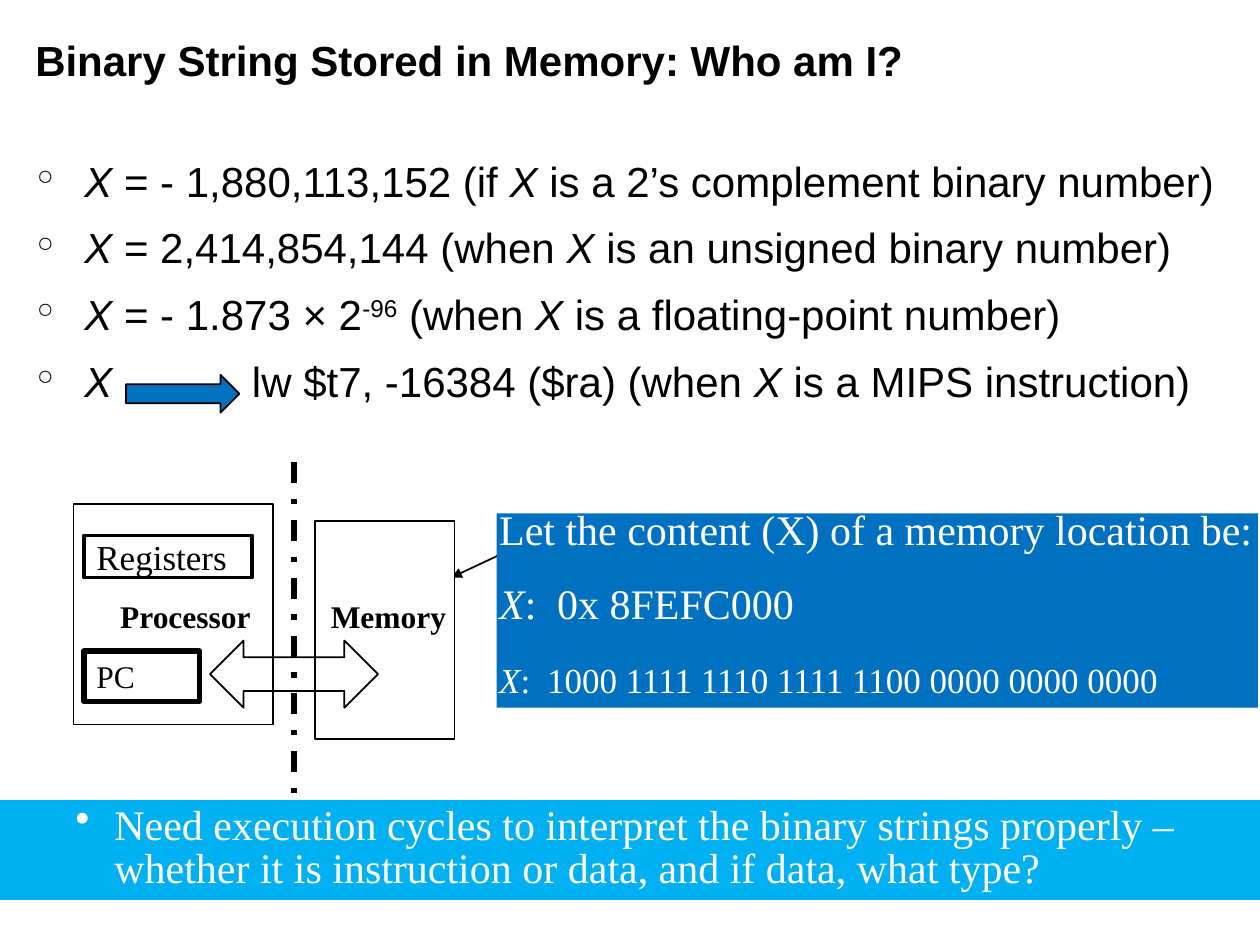
from dataclasses import dataclass

from lxml import etree
from pptx import Presentation
from pptx.dml.color import RGBColor
from pptx.enum.dml import MSO_LINE_DASH_STYLE as DASH
from pptx.enum.shapes import MSO_CONNECTOR, MSO_SHAPE as SHAPE
from pptx.enum.text import MSO_ANCHOR as ANCHOR, PP_ALIGN as ALIGN
from pptx.oxml.ns import qn
from pptx.util import Inches, Pt


@dataclass(frozen=True)
class Theme:
    """Colours, fonts and type sizes of the slide."""
    ink: str = "000000"
    paper: str = "FFFFFF"
    blue: str = "0070C0"
    sky: str = "00B0F0"
    sans: str = "Arial"
    serif: str = "Times New Roman"
    large: int = 24
    medium: int = 20
    small: int = 18


class Deck:
    """Draws elements on a grid of 120 columns by 90 rows."""

    def __init__(self, theme):
        """Open a title-only slide."""
        self.theme = theme
        self.prs = Presentation()
        self.prs.slide_width, self.prs.slide_height = Inches(10), Inches(7.5)
        self.s = self.prs.slides.add_slide(self.prs.slide_layouts[5])

    def at(self, *cells):
        """Turn grid cells into lengths."""
        return [Inches(cell / 12) for cell in cells]

    def frame(self, sp, margins=(0.1, 0.05), anchor=ANCHOR.TOP, wrap=True):
        """Set the margins, anchor and wrapping of a shape's text."""
        tf = sp.text_frame
        tf.margin_left = tf.margin_right = Inches(margins[0])
        tf.margin_top = tf.margin_bottom = Inches(margins[1])
        tf.vertical_anchor, tf.word_wrap = anchor, wrap
        return tf

    def para(self, tf, text, size, font=None, color=None, bold=False, align=ALIGN.LEFT,
             spacing=None, before=None, bullet=None, indent=(0, 0), tab=None):
        """Add a paragraph in which asterisks mark italics and carets superscript."""
        first = not tf.paragraphs[0].runs
        p = tf.paragraphs[0] if first else tf.add_paragraph()
        p.alignment, p.line_spacing = align, spacing
        if before and not first:
            p.space_before = Pt(before)
        pPr = p._p.get_or_add_pPr()
        if bullet:
            pPr.set("marL", str(Inches(indent[0])))
            pPr.set("indent", str(Inches(indent[1])))
            etree.SubElement(pPr, qn("a:buChar"), char=bullet)
        if tab:
            tabs = etree.SubElement(pPr, qn("a:tabLst"))
            etree.SubElement(tabs, qn("a:tab"), pos=str(Inches(tab)), algn="l")
        for i, part in enumerate(text.split("*")):
            for j, piece in enumerate(part.split("^")):
                if piece:
                    r = p.add_run()
                    r.text = piece
                    r.font.size, r.font.bold, r.font.italic = Pt(size), bold, i % 2 == 1
                    r.font.name = font or self.theme.serif
                    r.font.color.rgb = RGBColor.from_string(color or self.theme.ink)
                    if j % 2:
                        r.font._element.set("baseline", "30000")

    def title(self, cells, text):
        """Place and fill the title."""
        sp = self.s.shapes.title
        sp.left, sp.top, sp.width, sp.height = self.at(*cells)
        tf = self.frame(sp, (0.28, 0.05), ANCHOR.MIDDLE)
        self.para(tf, text, self.theme.large, self.theme.sans, bold=True, spacing=0.87)

    def text(self, cells, **frame):
        """Add a text box and return its text frame."""
        return self.frame(self.s.shapes.add_textbox(*self.at(*cells)), **frame)

    def shape(self, kind, cells, fill=None, line=None, **frame):
        """Add a preset shape and return its text frame."""
        sp = self.s.shapes.add_shape(kind, *self.at(*cells))
        sp.shadow.inherit = False
        if fill:
            sp.fill.solid()
            sp.fill.fore_color.rgb = RGBColor.from_string(fill)
        else:
            sp.fill.background()
        if line:
            sp.line.color.rgb = RGBColor.from_string(self.theme.ink)
            sp.line.width = Pt(line)
        else:
            sp.line.fill.background()
        return self.frame(sp, **frame)

    def line(self, cells, width, dash=None, arrow=False):
        """Add a straight line, with an arrowhead at its end if asked."""
        cx = self.s.shapes.add_connector(MSO_CONNECTOR.STRAIGHT, *self.at(*cells))
        cx.line.color.rgb = RGBColor.from_string(self.theme.ink)
        cx.line.width = Pt(width)
        if dash:
            cx.line.dash_style = dash
        if arrow:
            etree.SubElement(cx.line._get_or_add_ln(), qn("a:tailEnd"), type="triangle")
        etree.SubElement(cx._element.spPr, qn("a:effectLst"))


def main():
    """Build the slide."""
    t = Theme()
    d = Deck(t)
    d.title((0, 2, 117, 8), "Binary String Stored in Memory: Who am I?")

    readings = d.text((2.3, 15.3, 115.4, 28))
    for text, tab in (
        ("*X* = - 1,880,113,152 (if *X* is a 2’s complement binary number)", None),
        ("*X* = 2,414,854,144 (when *X* is an unsigned binary number)", None),
        ("*X* = - 1.873 × 2^-96^ (when *X* is a floating-point number)", None),
        ("*X*\tlw $t7, -16384 ($ra) (when *X* is a MIPS instruction)", 1.71),
    ):
        d.para(readings, text, t.large, t.sans, spacing=0.75, before=16.5,
               bullet="°", indent=(0.38, -0.38), tab=tab)
    d.shape(SHAPE.RIGHT_ARROW, (12, 35.7, 10.8, 3.6), t.blue, 1)

    tight = dict(margins=(0.02, 0.03), wrap=False)
    d.line((51.5, 51, 43, 55), 1, arrow=True)
    content = d.shape(SHAPE.RECTANGLE, (47.3, 48.9, 72.5, 18.5), t.blue, **tight)
    for text, size, tab in (
        ("Let the content (X) of a memory location be:", t.large, None),
        ("*X*:\t0x 8FEFC000", t.large, 0.46),
        ("*X*:\t1000 1111 1110 1111 1100 0000 0000 0000", t.medium, 0.38),
    ):
        d.para(content, text, size, color=t.paper, spacing=Pt(21), before=21, tab=tab)

    d.shape(SHAPE.RECTANGLE, (7, 48, 19, 21), line=1)
    d.shape(SHAPE.RECTANGLE, (30, 49.6, 13.3, 20.8), t.paper, 1)
    for name, cells, align in (("Processor", (11.2, 55.6, 20, 8), ALIGN.LEFT),
                               ("Memory", (29, 55.6, 16, 8), ALIGN.CENTER)):
        d.para(d.text(cells, **tight), name, t.small, bold=True, align=align, spacing=Pt(27))
    d.line((28, 44, 28, 76), 3, DASH.DASH_DOT)
    d.shape(SHAPE.LEFT_RIGHT_ARROW, (20, 61, 16, 6.4), line=1)
    for name, cells, width, size in (("Registers", (8, 51, 16, 4), 2.25, t.medium),
                                     ("PC", (8, 62, 11, 4.8), 3, t.small)):
        d.para(d.shape(SHAPE.RECTANGLE, cells, line=width, anchor=ANCHOR.MIDDLE), name, size)

    banner = d.shape(SHAPE.RECTANGLE, (0, 76.2, 120, 9.5), t.sky)
    d.para(banner, "Need execution cycles to interpret the binary strings properly – "
           "whether it is instruction or data, and if data, what type?", t.large,
           color=t.paper, spacing=0.85, bullet="•", indent=(0.81, -0.31))
    d.prs.save("out.pptx")


if __name__ == "__main__":
    main()
